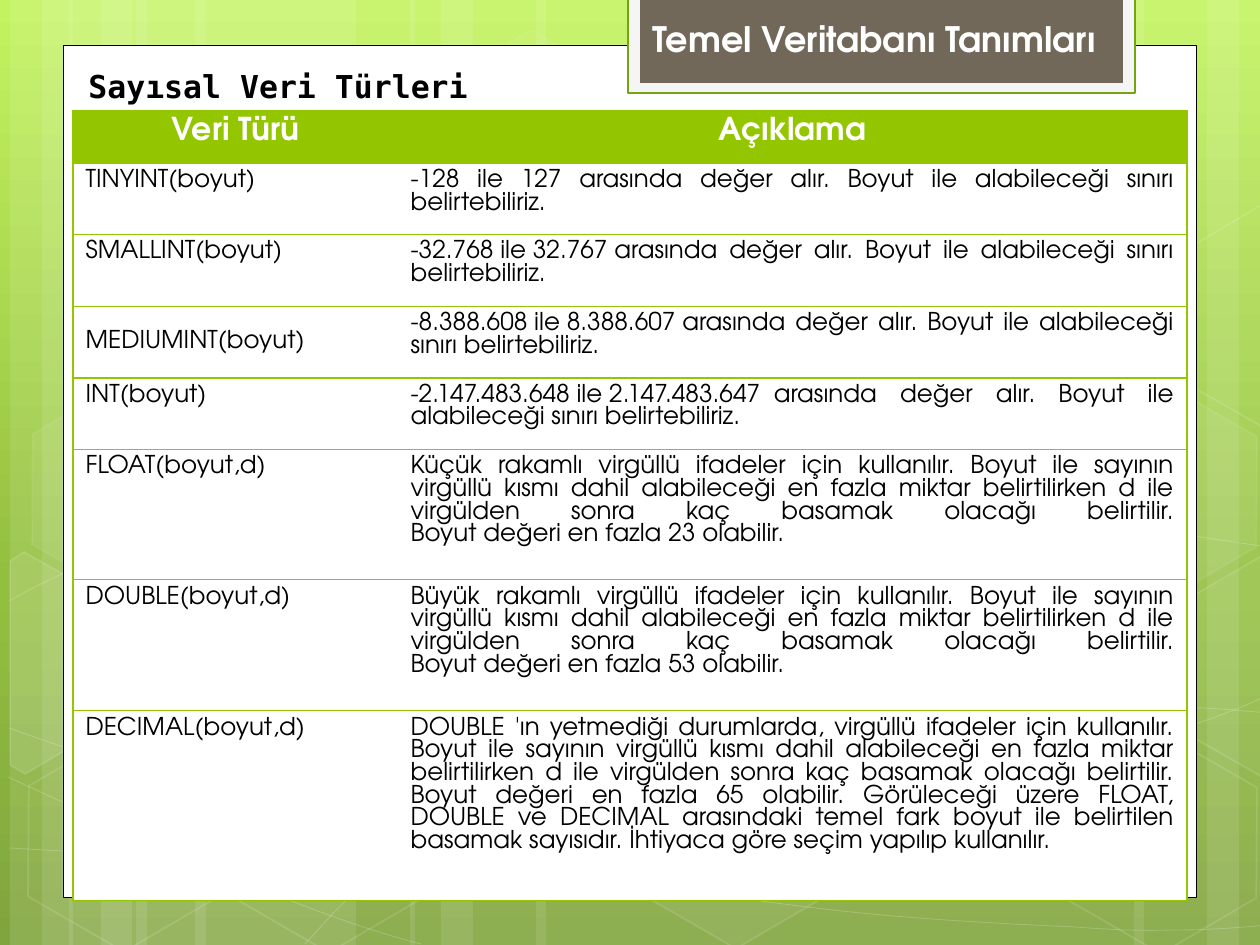
import copy
import math

import pptx
import pptx.dml.color
import pptx.enum.shapes
import pptx.enum.text
import pptx.oxml
import pptx.oxml.ns
import pptx.util

PX = 914400 / 126  # EMU per px
THEME = {
    "white": "FFFFFF", "black": "000000", "green": "94C600",
    "frame": "F5F5F5", "frame_line": "74A510", "banner": "71685A",
    "background": [(0, "C3F35F"), (0.62, "93BF3F"), (1, "81A53E")],
    "font": "TeX Gyre Adventor", "mono": "DejaVu Sans Mono",
    "title": 20, "heading": 18, "body": 14,
}
rgb = pptx.dml.color.RGBColor.from_string
qn = pptx.oxml.ns.qn
Align = pptx.enum.text.PP_ALIGN
Shape = pptx.enum.shapes.MSO_SHAPE


def emu(*lengths):
    return [round(length * PX) for length in lengths]


def paint(shape, fill=None, fill_alpha=100, line=None, width=1, line_alpha=100):
    """Fill and outline a shape; alphas are percentages of opacity."""
    shape.shadow.inherit = False
    parts = ((shape.fill, fill, fill_alpha), (shape.line.fill, line, line_alpha))
    for part, color, alpha in parts:
        if color is None or alpha == 0:
            part.background()
            continue
        part.solid()
        part.fore_color.rgb = rgb(color)
        if alpha < 100:
            owner = shape._element.spPr
            if part is not parts[0][0]:
                owner = owner.find(qn("a:ln"))
            value = owner.find(qn("a:solidFill")).find(qn("a:srgbClr"))
            value.append(value.makeelement(qn("a:alpha"), {"val": str(alpha * 1000)}))
    if line:
        shape.line.width = pptx.util.Pt(width)


deck = pptx.Presentation()
deck.slide_width, deck.slide_height = emu(1260, 945)
page = deck.slides.add_slide(deck.slide_layouts[6])
shapes = page.shapes
white = THEME["white"]

# Background gradient, top to bottom
backdrop = page.background.fill
backdrop.gradient()
backdrop.gradient_angle = 270
stop_list = next(page._element.iter(qn("a:gsLst")))
stop_list.append(copy.deepcopy(stop_list[-1]))
for stop, (position, color) in zip(backdrop.gradient_stops, THEME["background"]):
    stop.position = position
    stop.color.rgb = rgb(color)

# Pale vertical bars: left, width
for left, width in [(136, 220), (10, 63), (42, 105), (195, 220), (69, 63), (101, 105),
                    (924, 220), (1207, 63), (1134, 105), (536, 388), (410, 63), (441, 105)]:
    bar = shapes.add_shape(Shape.RECTANGLE, *emu(left, 0, width, 945))
    paint(bar, white, 10)

# Thin curves: a start point, then two controls and an end for each Bezier segment
curves = [
    [(9, 848), (77, 852), (145, 856), (239, 854), (334, 853), (451, 851), (577, 838),
     (703, 825), (882, 801), (998, 777), (1113, 753), (1231, 716), (1269, 694)],
    [(9, 601), (45, 581), (82, 562), (152, 543), (224, 524), (326, 496), (437, 488),
     (549, 479), (685, 478), (824, 488), (963, 498), (1193, 537), (1269, 547)],
    [(8, 777), (160, 847), (311, 916), (421, 944)],
    [(9, 728), (48, 742), (88, 756), (161, 776), (234, 795), (344, 827), (450, 848),
     (554, 869), (687, 892), (791, 905), (896, 919), (1008, 924), (1075, 927),
     (1140, 932), (1158, 930), (1191, 930), (1223, 929), (1246, 927), (1269, 925)],
    [(305, 944), (328, 919), (350, 893), (381, 871), (411, 848), (454, 823), (489, 805),
     (524, 788), (546, 780), (592, 767), (638, 755), (722, 737), (766, 728),
     (811, 719), (818, 719), (857, 717), (896, 714), (958, 709), (1000, 708),
     (1045, 707), (1116, 708), (1116, 708), (1144, 708), (1173, 708), (1201, 708),
     (1223, 709), (1245, 711), (1256, 712), (1268, 713), (1264, 712), (1268, 713)],
]
for points in curves:
    builder = shapes.build_freeform(*emu(*points[0]))
    builder.add_line_segments([emu(*point) for point in points[1:]], close=False)
    curve = builder.convert_to_shape()
    lines = list(curve._element.iter(qn("a:lnTo")))
    for first in range(0, len(lines), 3):
        bezier = lines[first].makeelement(qn("a:cubicBezTo"), {})
        lines[first].addprevious(bezier)
        for segment in lines[first:first + 3]:
            bezier.append(segment[0])
            segment.getparent().remove(segment)
    paint(curve, line=white, width=0.5, line_alpha=20)

# Whole hexagons: left, top, fill opacity, line opacity
for left, top, fill_alpha, line_alpha in [
        (421, 45, 4, 8), (626, 742, 6, 12), (14, 745, 0, 12), (18, 393, 7, 8),
        (219, 746, 0, 12), (949, 571, 10, 12), (1051, 747, 0, 12), (1051, 396, 7, 8)]:
    hexagon = shapes.add_shape(Shape.HEXAGON, *emu(left, top, 220, 192))
    hexagon.adjustments[0] = 0.285
    hexagon.rotation = 30
    paint(hexagon, white, fill_alpha, white, 1, line_alpha)

# Hexagons cut by the slide edges: outlines turned back, then rotated as shapes
cosine, sine = math.cos(math.radians(30)), math.sin(math.radians(30))
for fill_alpha, (x, y), corners in [
        (10, (45, 674), [(10, 561), (24, 552), (121, 607), (120, 718), (25, 774), (10, 765)]),
        (4, (1241, 655),
         [(1167, 611), (1261, 556), (1271, 562), (1271, 772), (1263, 777), (1167, 722)]),
        (0, (1241, 304),
         [(1167, 261), (1261, 205), (1273, 212), (1271, 422), (1263, 427), (1167, 372)])]:
    upright = [emu(x + (a - x) * cosine + (b - y) * sine, y - (a - x) * sine + (b - y) * cosine)
               for a, b in corners]
    builder = shapes.build_freeform(*upright[0])
    builder.add_line_segments(upright[1:])
    cut_hexagon = builder.convert_to_shape()
    cut_hexagon.rotation = 30
    paint(cut_hexagon, white, fill_alpha, white, 1, 12)

# Content panel and title banner
for box, fill, line, width in [
        ((63, 45, 1134, 853), white, THEME["black"], 0.5),
        ((628, -3, 507, 96), THEME["frame"], THEME["frame_line"], 1.25),
        ((640, -3, 483, 86), THEME["banner"], None, 0)]:
    paint(shapes.add_shape(Shape.RECTANGLE, *emu(*box)), fill, line=line, width=width)

# Title and heading
for words, place, wrap, font, size, color in [
        ("Temel Veritabanı Tanımları", (640, 11, 476, 97), False,
         THEME["font"], THEME["title"], white),
        ("Sayısal Veri Türleri", (76, 61, 1087, 50), True,
         THEME["mono"], THEME["heading"], THEME["black"])]:
    box = shapes.add_textbox(*emu(*place))
    box.text_frame.word_wrap = wrap
    para = box.text_frame.paragraphs[0]
    para.text = words
    para.font.name, para.font.size, para.font.bold = font, pptx.util.Pt(size), True
    para.font.color.rgb = rgb(color)

# Table of numeric types
hard = chr(160)  # no-break space
limit = "arasında değer alır. Boyut ile alabileceği sınırı belirtebiliriz."
digits = ("virgüllü ifadeler için kullanılır. Boyut ile sayının virgüllü kısmı dahil "
          "alabileceği en fazla miktar belirtilirken d ile virgülden sonra kaç basamak "
          "olacağı belirtilir.\nBoyut değeri en fazla")
rows = [
    (52, "Veri Türü", "Açıklama"),
    (71, "TINYINT(boyut)", f"-128 ile 127 {limit}"),
    (72, "SMALLINT(boyut)", hard.join(["-32.768", "ile", "32.767", limit])),
    (71, "MEDIUMINT(boyut)", hard.join(["-8.388.608", "ile", "8.388.607", limit])),
    (71, "INT(boyut)", hard.join(["-2.147.483.648", "ile", "2.147.483.647", "", limit])),
    (130, "FLOAT(boyut,d)", f"Küçük rakamlı {digits} 23 olabilir."),
    (131, "DOUBLE(boyut,d)", f"Büyük rakamlı {digits} 53 olabilir."),
    (190, "DECIMAL(boyut,d)",
     f"DOUBLE 'ın yetmediği durumlarda, {digits} 65 olabilir. Görüleceği üzere FLOAT, "
     "DOUBLE ve DECIMAL arasındaki temel fark boyut ile belirtilen basamak sayısıdır. "
     "İhtiyaca göre seçim yapılıp kullanılır."),
]
height = sum(row[0] for row in rows)
table = shapes.add_table(len(rows), 2, *emu(73, 111, 1114, height)).table
table.horz_banding = False
table.columns[0].width, table.columns[1].width = emu(325, 789)

for r, (row_height, *texts) in enumerate(rows):
    table.rows[r].height = emu(row_height)[0]
    header = r == 0
    for c, words in enumerate(texts):
        cell = table.cell(r, c)
        properties = cell._tc.get_or_add_tcPr()
        for side in ("lnL", "lnR", "lnT", "lnB"):
            inner = side == ("lnL" if c else "lnR")
            stroke = ("<a:noFill/>" if inner else
                      f'<a:solidFill><a:srgbClr val="{THEME["green"]}"/></a:solidFill>')
            properties.append(pptx.oxml.parse_xml(
                f'<a:{side} {pptx.oxml.ns.nsdecls("a")} w="9525">{stroke}</a:{side}>'))
        cell.fill.solid()
        cell.fill.fore_color.rgb = rgb(THEME["green"] if header else white)
        if words.startswith("MEDIUMINT"):
            cell.vertical_anchor = pptx.enum.text.MSO_ANCHOR.MIDDLE
        para = cell.text_frame.paragraphs[0]
        para.text = words
        para.alignment = Align.CENTER if header else Align.JUSTIFY if c else Align.LEFT
        para.font.name, para.font.bold = THEME["font"], header
        para.font.size = pptx.util.Pt(THEME["heading" if header else "body"])
        para.font.color.rgb = rgb(white if header else THEME["black"])

deck.save("out.pptx")
